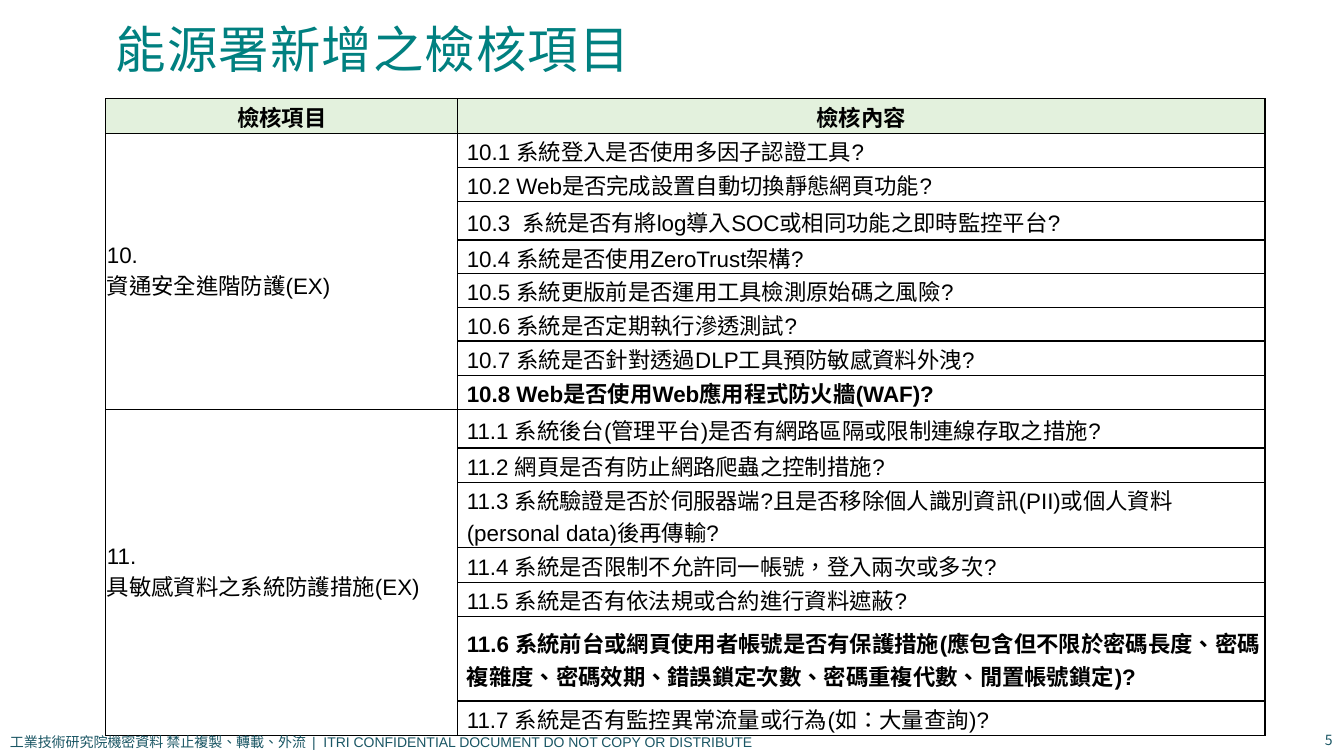
"""Build the slide that lists the newly added security check items."""
import dataclasses
import typing

import lxml.etree
import pptx
import pptx.dml.color
import pptx.enum.text
import pptx.oxml.ns
import pptx.util

Pt = pptx.util.Pt
RGB = pptx.dml.color.RGBColor
Align = pptx.enum.text.PP_ALIGN
Anchor = pptx.enum.text.MSO_ANCHOR
qn = pptx.oxml.ns.qn

BLACK = RGB(0, 0, 0)
WHITE = RGB(255, 255, 255)
TEAL = RGB(0x00, 0x80, 0x80)
SLATE = RGB(0x1A, 0x56, 0x64)
GREEN = RGB(0xE3, 0xF1, 0xDD)
ASIAN = "Noto Sans CJK TC"


@dataclasses.dataclass(frozen=True)
class Style:
    """Look of a run."""
    size: float
    color: RGB
    font: str = "Arial"
    bold: bool = False


@dataclasses.dataclass(frozen=True)
class Check:
    """One question and its row height."""
    text: str
    height: float = 24.5
    bold: bool = False


@dataclasses.dataclass(frozen=True)
class Group:
    """A numbered topic with its checks."""
    number: str
    name: str
    checks: tuple[Check, ...]


@dataclasses.dataclass(frozen=True)
class Label:
    """A small text at the foot of the slide."""
    text: str
    box: tuple[float, float, float, float]
    font: str
    align: Align
    anchor: Anchor


PLAIN = Style(16, BLACK)
BOLD = Style(16, BLACK, bold=True)
HEADS = ("檢核項目", "檢核內容")
GROUPS = (
    Group("10.", "資通安全進階防護(EX)", (
        Check("10.1 系統登入是否使用多因子認證工具?"),
        Check("10.2 Web是否完成設置自動切換靜態網頁功能?"),
        Check("10.3  系統是否有將log導入SOC或相同功能之即時監控平台?", 27.4),
        Check("10.4 系統是否使用ZeroTrust架構?", 21.6),
        Check("10.5 系統更版前是否運用工具檢測原始碼之風險?"),
        Check("10.6 系統是否定期執行滲透測試?", 21.6),
        Check("10.7 系統是否針對透過DLP工具預防敏感資料外洩?"),
        Check("10.8 Web是否使用Web應用程式防火牆(WAF)?", bold=True),
    )),
    Group("11.", "具敏感資料之系統防護措施(EX)", (
        Check("11.1 系統後台(管理平台)是否有網路區隔或限制連線存取之措施?", 27.4),
        Check("11.2 網頁是否有防止網路爬蟲之控制措施?"),
        Check("11.3 系統驗證是否於伺服器端?且是否移除個人識別資訊(PII)"
              "或個人資料(personal data)後再傳輸?", 43.2),
        Check("11.4 系統是否限制不允許同一帳號，登入兩次或多次?"),
        Check("11.5 系統是否有依法規或合約進行資料遮蔽?"),
        Check("11.6 系統前台或網頁使用者帳號是否有保護措施"
              "(應包含但不限於密碼長度、密碼複雜度、密碼效期、"
              "錯誤鎖定次數、密碼重複代數、閒置帳號鎖定)?", 60.5, True),
        Check("11.7 系統是否有監控異常流量或行為(如：大量查詢)?"),
    )),
)
LABELS = (
    Label("工業技術研究院機密資料 禁止複製、轉載、外流  |  "
          "ITRI CONFIDENTIAL DOCUMENT DO NOT COPY OR DISTRIBUTE",
          (0, 520.5, 590, 19.5), "Arial", Align.LEFT, Anchor.TOP),
    Label("5", (893, 517.5, 66, 21.5), ASIAN, Align.RIGHT, Anchor.MIDDLE),
)


def write(para: typing.Any, text: str, style: Style) -> typing.Any:
    """Add a styled run and return its properties."""
    run = para.add_run()
    run.text = text
    font = run.font
    font.size = Pt(style.size)
    font.bold = style.bold
    font.color.rgb = style.color
    font.name = style.font
    props = run._r.get_or_add_rPr()
    props.set("lang", "zh-TW")
    asian = lxml.etree.Element(qn("a:ea"), typeface=ASIAN)
    props.find(qn("a:latin")).addnext(asian)
    return props


def place(shape: typing.Any, box: tuple[float, ...]) -> None:
    """Set the place and size of a shape."""
    shape.left, shape.top, shape.width, shape.height = map(Pt, box)


def frame(cell: typing.Any, fill: RGB, anchor: Anchor) -> None:
    """Give a cell its edges, fill and margins."""
    props = cell._tc.get_or_add_tcPr()
    for side in ("lnL", "lnR", "lnT", "lnB"):
        line = lxml.etree.SubElement(props, qn(f"a:{side}"), w=str(Pt(1)))
        paint = lxml.etree.SubElement(line, qn("a:solidFill"))
        lxml.etree.SubElement(paint, qn("a:srgbClr"), val=str(BLACK))
    cell.fill.solid()
    cell.fill.fore_color.rgb = fill
    cell.vertical_anchor = anchor
    cell.margin_left = cell.margin_right = cell.margin_top = Pt(0.75)
    cell.margin_bottom = Pt(0)


def title(slide: typing.Any) -> None:
    """Fill the title placeholder."""
    shape = slide.shapes.title
    place(shape, (75.6, 9.4, 809.3, 51.1))
    body = shape.text_frame
    body.auto_size = pptx.enum.text.MSO_AUTO_SIZE.NONE
    body.vertical_anchor = Anchor.BOTTOM
    para = body.paragraphs[0]
    para.alignment = Align.LEFT
    para.line_spacing = 0.9
    props = write(para, "能源署新增之檢核項目", Style(36, TEAL, "Calibri"))
    props.set("spc", "80")


def table(slide: typing.Any) -> None:
    """Draw the table of checks."""
    heights = [24.5] + [check.height for group in GROUPS for check in group.checks]
    shape = slide.shapes.add_table(
        len(heights), 2, Pt(75.6), Pt(70.6), Pt(828), Pt(sum(heights)))
    grid = shape.table
    grid.first_row = grid.horz_banding = False
    for col, width in zip(grid.columns, (251.3, 576.7)):
        col.width = Pt(width)
    for index, height in enumerate(heights):
        grid.rows[index].height = Pt(height)
        for col in range(2):
            fill, anchor = (WHITE, Anchor.MIDDLE) if index else (GREEN, Anchor.BOTTOM)
            frame(grid.cell(index, col), fill, anchor)
    for col, head in enumerate(HEADS):
        para = grid.cell(0, col).text_frame.paragraphs[0]
        para.alignment = Align.CENTER
        write(para, head, BOLD)
    row = 1
    for group in GROUPS:
        topic = grid.cell(row, 0)
        topic.merge(grid.cell(row + len(group.checks) - 1, 0))
        write(topic.text_frame.paragraphs[0], group.number, PLAIN)
        write(topic.text_frame.add_paragraph(), group.name, PLAIN)
        for check in group.checks:
            para = grid.cell(row, 1).text_frame.paragraphs[0]
            para._p.get_or_add_pPr().set("marL", str(Pt(5.8)))
            write(para, check.text, BOLD if check.bold else PLAIN)
            row += 1


def label(slide: typing.Any, item: Label) -> None:
    """Draw a label at the foot."""
    body = slide.shapes.add_textbox(*map(Pt, item.box)).text_frame
    body.word_wrap = True
    body.vertical_anchor = item.anchor
    para = body.paragraphs[0]
    para.alignment = item.align
    write(para, item.text, Style(10, SLATE, item.font))


def main() -> None:
    """Build and save the deck."""
    deck = pptx.Presentation()
    deck.slide_width, deck.slide_height = Pt(960), Pt(540)
    slide = deck.slides.add_slide(deck.slide_layouts[5])
    title(slide)
    table(slide)
    for item in LABELS:
        label(slide, item)
    deck.save("out.pptx")


if __name__ == "__main__":
    main()
